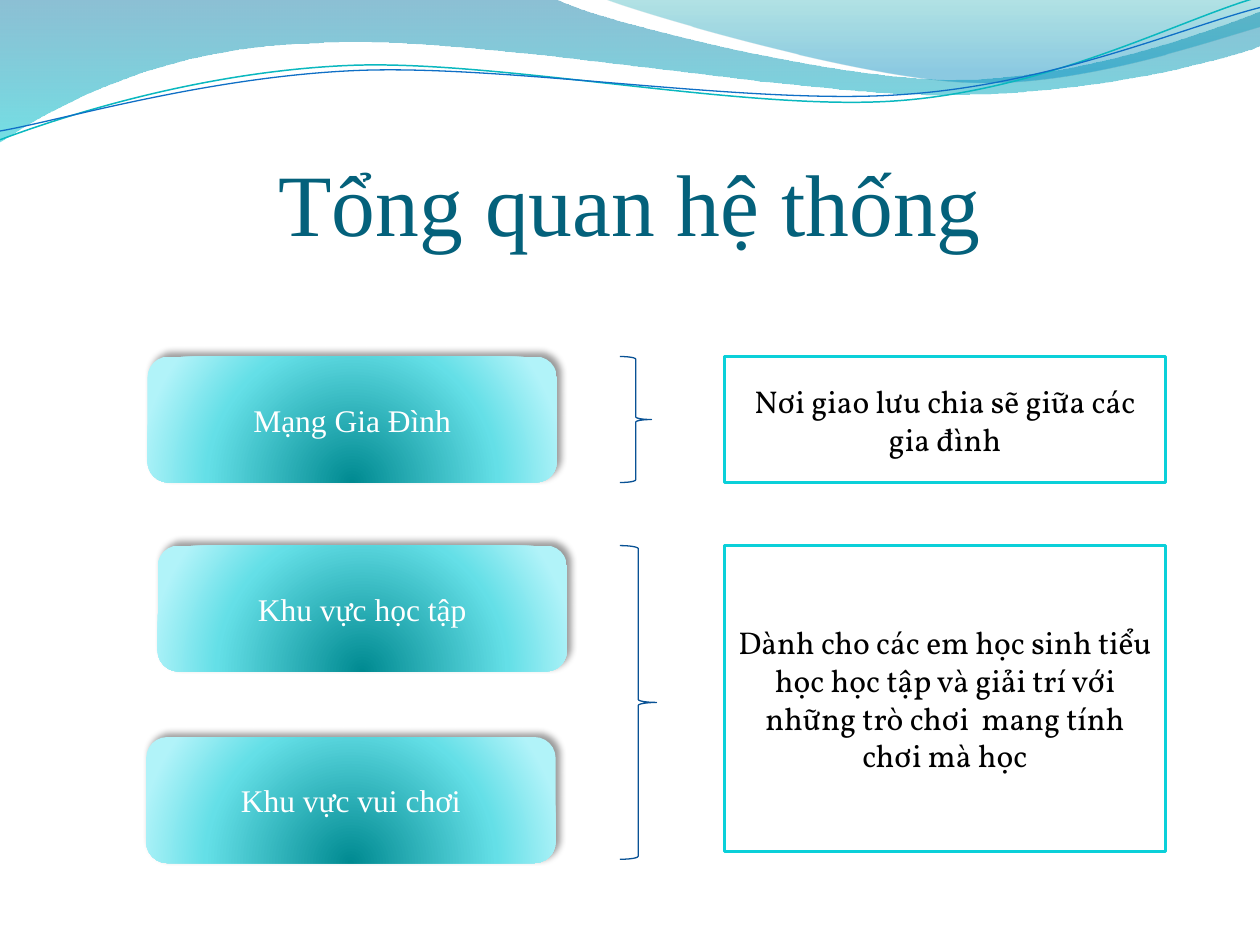
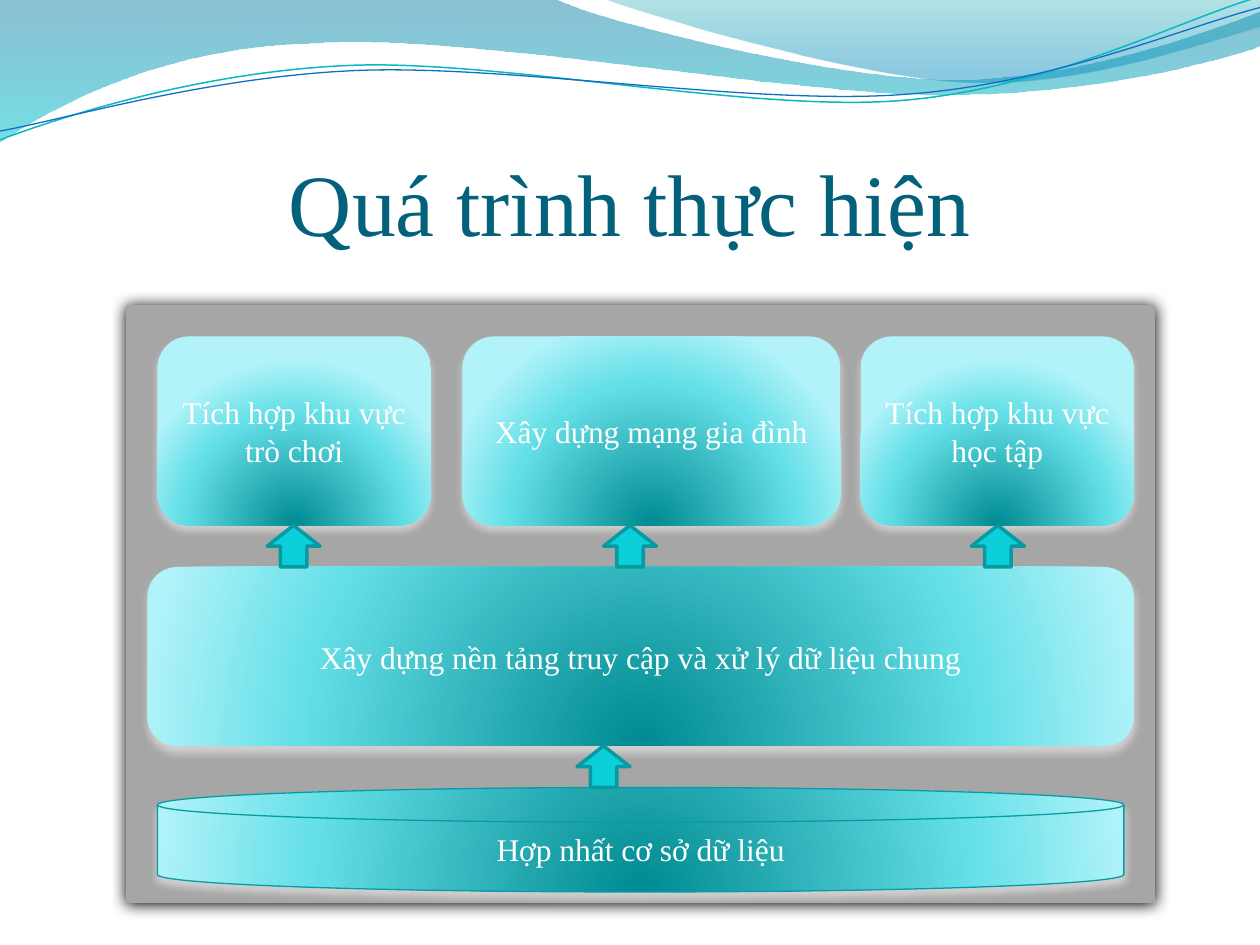
from dataclasses import dataclass

import lxml.etree
import pptx
import pptx.dml.color
import pptx.enum.shapes
import pptx.enum.text
import pptx.oxml
import pptx.oxml.ns
import pptx.util

Inches = pptx.util.Inches
Pt = pptx.util.Pt
qn = pptx.oxml.ns.qn
MSO = pptx.enum.shapes.MSO_SHAPE
ALIGN = pptx.enum.text.PP_ALIGN
ANCHOR = pptx.enum.text.MSO_ANCHOR


@dataclass(frozen=True)
class Theme:
    font: str = "Times New Roman"
    note_font: str = "Vollkorn"
    title_size: int = 50
    body_size: int = 18
    title: str = "04617B"
    white: str = "FFFFFF"
    black: str = "000000"
    accent: str = "0BD0D9"
    arrow_line: str = "089AA1"
    disk_line: str = "069CA3"
    brace: str = "095295"
    panel: str = "A6A6A6"
    teal_line: str = "0AB8BF"
    blue_line: str = "0F6FC6"
    glow: tuple = ((0, "008A91", 100), (68, "64DFE7", 100), (100, "B1F3F9", 100))
    wide_wave: tuple = ((0, "0074A1", 45), (100, "00C6CF", 55))
    right_wave: tuple = ((0, "00A1A9", 30), (80, "008BBF", 45))
    corner_shadow: tuple = ("000000", 40, 4, 3, 315)
    soft_shadow: tuple = ("FFFFFF", 48, 4.5, 3, 90)
    panel_shadow: tuple = ("000000", 100, 8.5, 1, 90)


T = Theme()

WIDE_WAVE = [
    (0, 0), (4.4, -0.01),
    (4.76, 0.17, 6.64, 0.63, 7.58, 0.63), (8.53, 0.63, 9.58, 0.26, 10, 0.09),
    (10.01, 0.36),
    (9.83, 0.44, 8.7, 0.76, 7.46, 0.75), (6.22, 0.75, 3.82, 0.28, 2.57, 0.34),
    (1.29, 0.36, 0.46, 0.83, -0.01, 1.13), (0, 0),
]
RIGHT_WAVE = [
    (4.79, -0.01),
    (5.09, 0.11, 6.82, 0.62, 7.69, 0.65), (8.56, 0.69, 9.61, 0.32, 10, 0.21),
    (10, 0), (4.79, -0.01),
]
TEAL_CURVE = [
    (0, 1.11),
    (0.48, 0.93, 1.58, 0.57, 2.77, 0.52), (3.95, 0.47, 5.93, 0.89, 7.13, 0.8),
    (8.33, 0.71, 9.38, 0.15, 9.98, -0.02),
]
BLUE_CURVE = [
    (0, 1.04),
    (0.47, 0.96, 1.64, 0.61, 2.83, 0.56), (4.03, 0.51, 5.97, 0.84, 7.17, 0.75),
    (8.36, 0.67, 9.41, 0.21, 10, 0.06),
]


def rgb(color):
    return pptx.dml.color.RGBColor.from_string(color)


def add_color(parent, color, opacity):
    clr = lxml.etree.SubElement(parent, qn("a:srgbClr"), val=color)
    if opacity < 100:
        lxml.etree.SubElement(clr, qn("a:alpha"), val=str(opacity * 1000))


def set_gradient(shape, stops, radial=False):
    shape.fill.background()
    grad = pptx.oxml.parse_xml(f'<a:gradFill {pptx.oxml.ns.nsdecls("a")} rotWithShape="1"/>')
    stop_list = lxml.etree.SubElement(grad, qn("a:gsLst"))
    for position, color, opacity in stops:
        stop = lxml.etree.SubElement(stop_list, qn("a:gs"), pos=str(position * 1000))
        add_color(stop, color, opacity)
    if radial:
        circle = lxml.etree.SubElement(grad, qn("a:path"))
        circle.set("path", "circle")
        lxml.etree.SubElement(circle, qn("a:fillToRect"),
                              l="50000", t="130000", r="50000", b="-30000")
    else:
        lxml.etree.SubElement(grad, qn("a:lin"), ang="5400000", scaled="1")
    sp_pr = shape.element.spPr
    sp_pr.replace(sp_pr.find(qn("a:noFill")), grad)


def set_shadow(shape, color, opacity, blur, distance, angle):
    effects = shape.element.spPr.find(qn("a:effectLst"))
    shadow = lxml.etree.SubElement(
        effects, qn("a:outerShdw"), blurRad=str(int(Pt(blur))),
        dist=str(int(Pt(distance))), dir=str(angle * 60000), rotWithShape="0")
    add_color(shadow, color, opacity)


def set_line(shape, color=None, width=0.75):
    if color is None:
        shape.line.fill.background()
    else:
        shape.line.color.rgb = rgb(color)
        shape.line.width = Pt(width)


def format_text(tf, font, size, color):
    for p in tf.paragraphs:
        p.alignment = ALIGN.CENTER
        for r in p.runs:
            r.font.name = font
            r.font.size = Pt(size)
            r.font.color.rgb = rgb(color)


def add_box(s, kind, at, fill=None, line=None, width=0.75, shadow=None):
    sp = s.shapes.add_shape(kind, *map(Inches, at))
    sp.shadow.inherit = False
    if fill is None:
        sp.fill.background()
    elif isinstance(fill, tuple):
        set_gradient(sp, fill, radial=True)
    else:
        sp.fill.solid()
        sp.fill.fore_color.rgb = rgb(fill)
    set_line(sp, line, width)
    if shadow:
        set_shadow(sp, *shadow)
    return sp


def set_label(sp, text, font=T.font, color=T.white):
    tf = sp.text_frame
    tf.text = text
    tf.word_wrap = True
    tf.vertical_anchor = ANCHOR.MIDDLE
    format_text(tf, font, T.body_size, color)


def add_card(s, text, at, shadow, kind=MSO.ROUNDED_RECTANGLE, line=None):
    set_label(add_box(s, kind, at, T.glow, line, shadow=shadow), text)


def add_note(s, text, at):
    sp = add_box(s, MSO.FLOWCHART_PROCESS, at, T.white, T.accent, 2)
    set_label(sp, text, T.note_font, T.black)


def add_up_arrow(s, center, top):
    add_box(s, MSO.UP_ARROW, (center - 0.21, top, 0.42, 0.33),
            T.accent, T.arrow_line, 2)


def curve_segments(sp, steps):
    segments = iter(list(sp.element.iter(qn("a:lnTo"))))
    for step in steps[1:]:
        first = next(segments)
        if len(step) == 2:
            continue
        curve = lxml.etree.Element(qn("a:cubicBezTo"))
        first.addprevious(curve)
        for segment in (first, next(segments), next(segments)):
            curve.append(segment[0])
            segment.getparent().remove(segment)


def add_wave(s, steps, stops=None, line=None, width=0.75):
    start, *rest = [(Inches(x), Inches(y)) for step in steps
                    for x, y in zip(step[::2], step[1::2])]
    builder = s.shapes.build_freeform(*start)
    builder.add_line_segments(rest, close=stops is not None)
    sp = builder.convert_to_shape()
    curve_segments(sp, steps)
    sp.shadow.inherit = False
    if stops:
        set_gradient(sp, stops)
    else:
        sp.fill.background()
    set_line(sp, line, width)
    return sp


def decorate_master(master, s):
    waves = [
        add_wave(s, WIDE_WAVE, T.wide_wave),
        add_wave(s, RIGHT_WAVE, T.right_wave),
        add_wave(s, TEAL_CURVE, line=T.teal_line, width=0.85),
        add_wave(s, BLUE_CURVE, line=T.blue_line),
    ]
    for index, wave in enumerate(waves, start=2):
        master.shapes.element.insert(index, wave.element)


def add_title(s, text):
    sp = s.shapes.title
    sp.left, sp.top, sp.width, sp.height = map(Inches, (0.5, 0.77, 9, 1.25))
    tf = sp.text_frame
    tf.text = text
    tf.word_wrap = True
    tf.auto_size = pptx.enum.text.MSO_AUTO_SIZE.NONE
    tf.vertical_anchor = ANCHOR.BOTTOM
    tf.margin_left = tf.margin_right = tf.margin_bottom = 0
    tf.margin_top = Inches(0.05)
    format_text(tf, T.font, T.title_size, T.title)


def build_overview(s):
    add_title(s, "Tổng quan hệ thống")
    areas = [("Mạng Gia Đình", 1.17, 2.83), ("Khu vực học tập", 1.25, 4.33),
             ("Khu vực vui chơi", 1.16, 5.85)]
    for text, left, top in areas:
        add_card(s, text, (left, top, 3.25, 1), T.corner_shadow)
    for top, width, height in [(4.33, 0.29, 2.49), (2.83, 0.25, 1)]:
        add_box(s, MSO.RIGHT_BRACE, (4.92, top, width, height), line=T.brace)
    add_note(s, "Nơi giao lưu chia sẽ giữa các gia đình", (5.75, 2.83, 3.5, 1))
    add_note(s, "Dành cho các em học sinh tiểu học học tập và giải trí với "
                "những trò chơi  mang tính chơi mà học", (5.75, 4.33, 3.5, 2.43))


def build_process(s):
    add_title(s, "Quá trình thực hiện")
    add_box(s, MSO.FLOWCHART_PROCESS, (1, 2.42, 8.17, 4.75), T.panel,
            shadow=T.panel_shadow)
    add_card(s, "Xây dựng nền tảng truy cập và xử lý dữ liệu chung",
             (1.17, 4.5, 7.83, 1.42), T.soft_shadow)
    modules = [("Tích hợp khu vực trò chơi", 1.25, 2.17),
               ("Xây dựng mạng gia đình", 3.67, 3),
               ("Tích hợp khu vực học tập", 6.83, 2.17)]
    for text, left, width in modules:
        add_card(s, text, (left, 2.67, width, 1.5), T.soft_shadow)
    add_card(s, "Hợp nhất cơ sở dữ liệu", (1.25, 6.25, 7.67, 0.83), T.soft_shadow,
             MSO.FLOWCHART_MAGNETIC_DISK, T.disk_line)
    add_up_arrow(s, 4.79, 5.92)
    for center in (2.33, 5, 7.92):
        add_up_arrow(s, center, 4.17)


def main():
    prs = pptx.Presentation()
    prs.slide_width, prs.slide_height = Inches(10), Inches(7.5)
    layout = prs.slide_layouts.get_by_name("Title Only")
    overview, process = (prs.slides.add_slide(layout) for _ in range(2))
    decorate_master(prs.slide_master, overview)
    build_overview(overview)
    build_process(process)
    prs.save("out.pptx")


if __name__ == "__main__":
    main()
